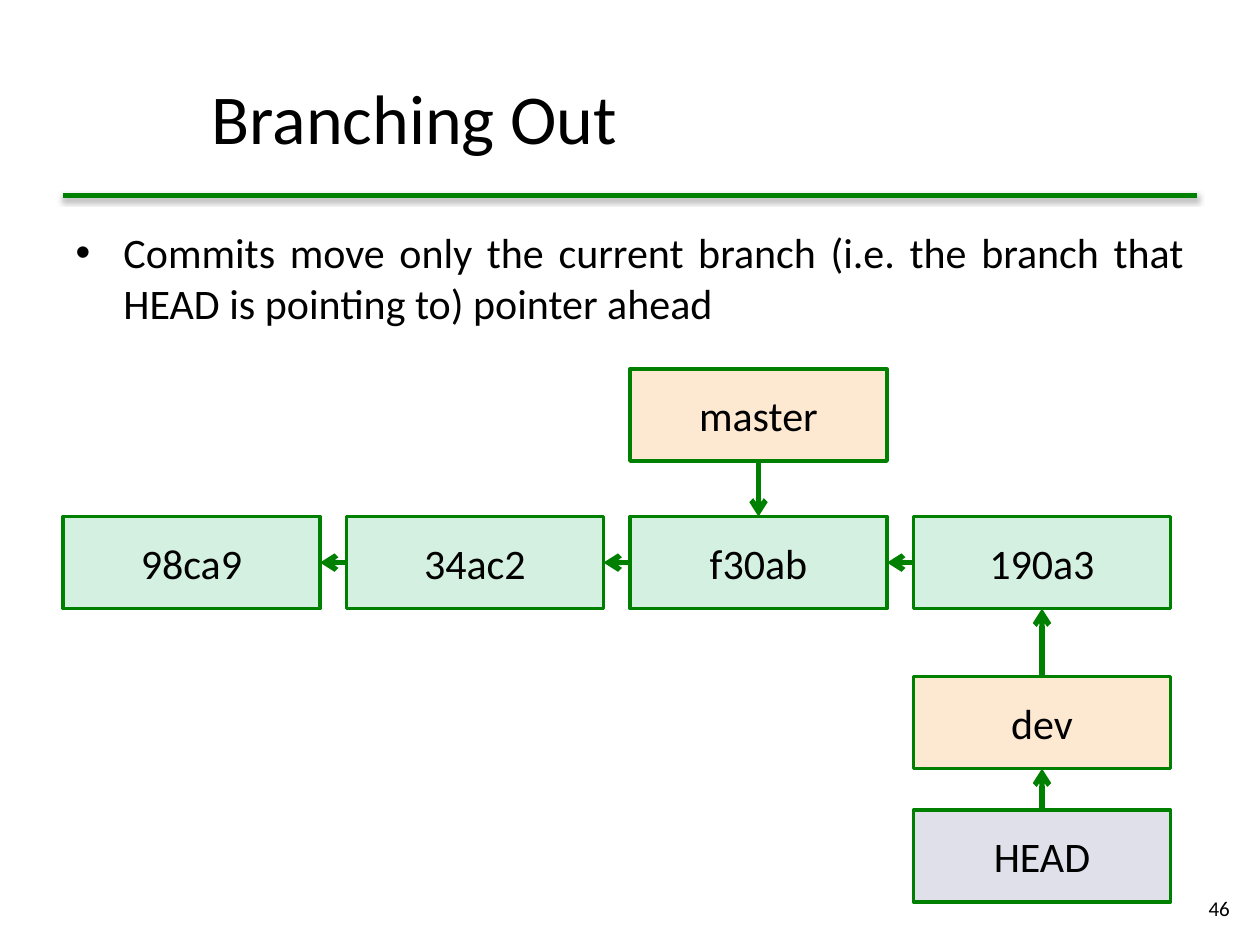
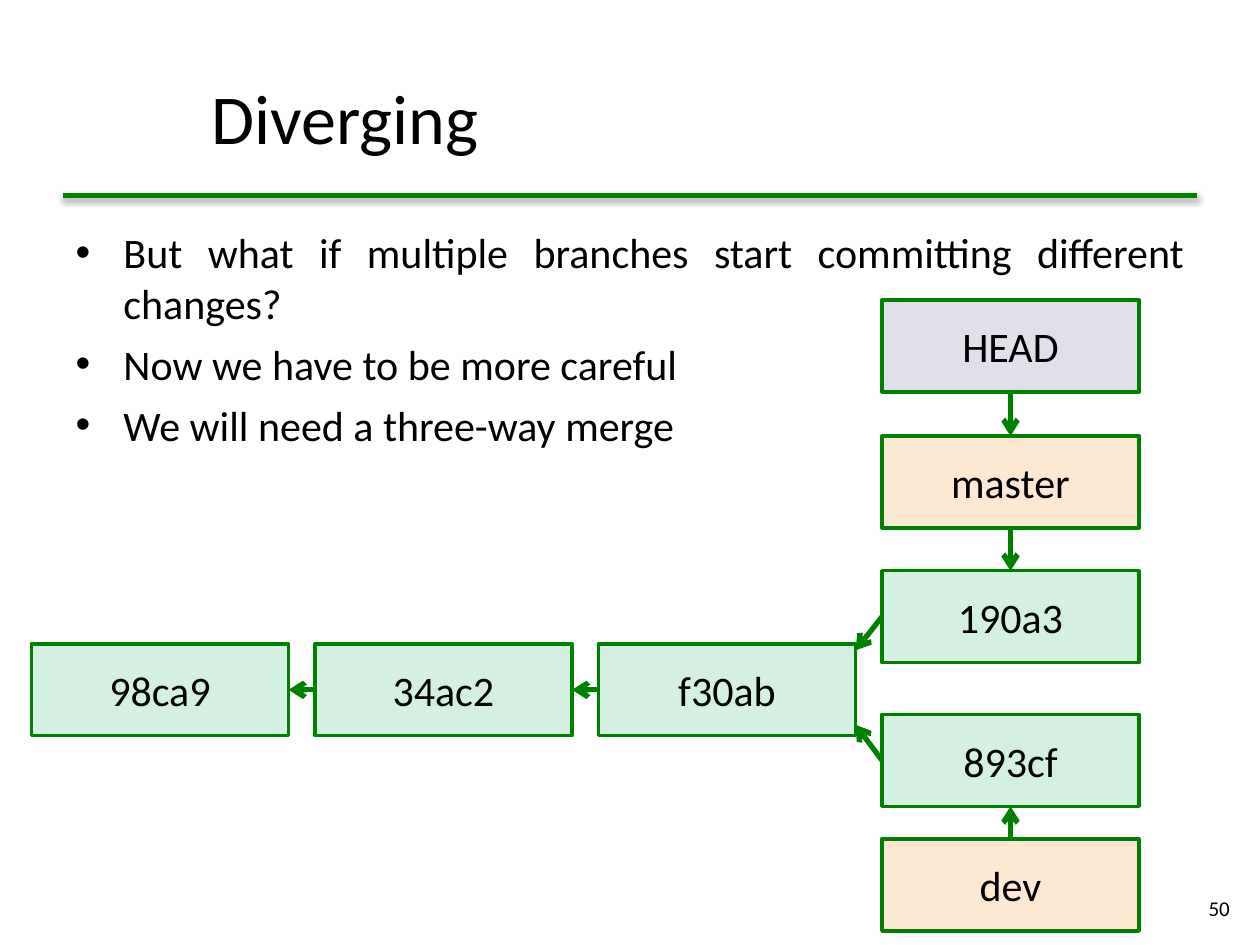
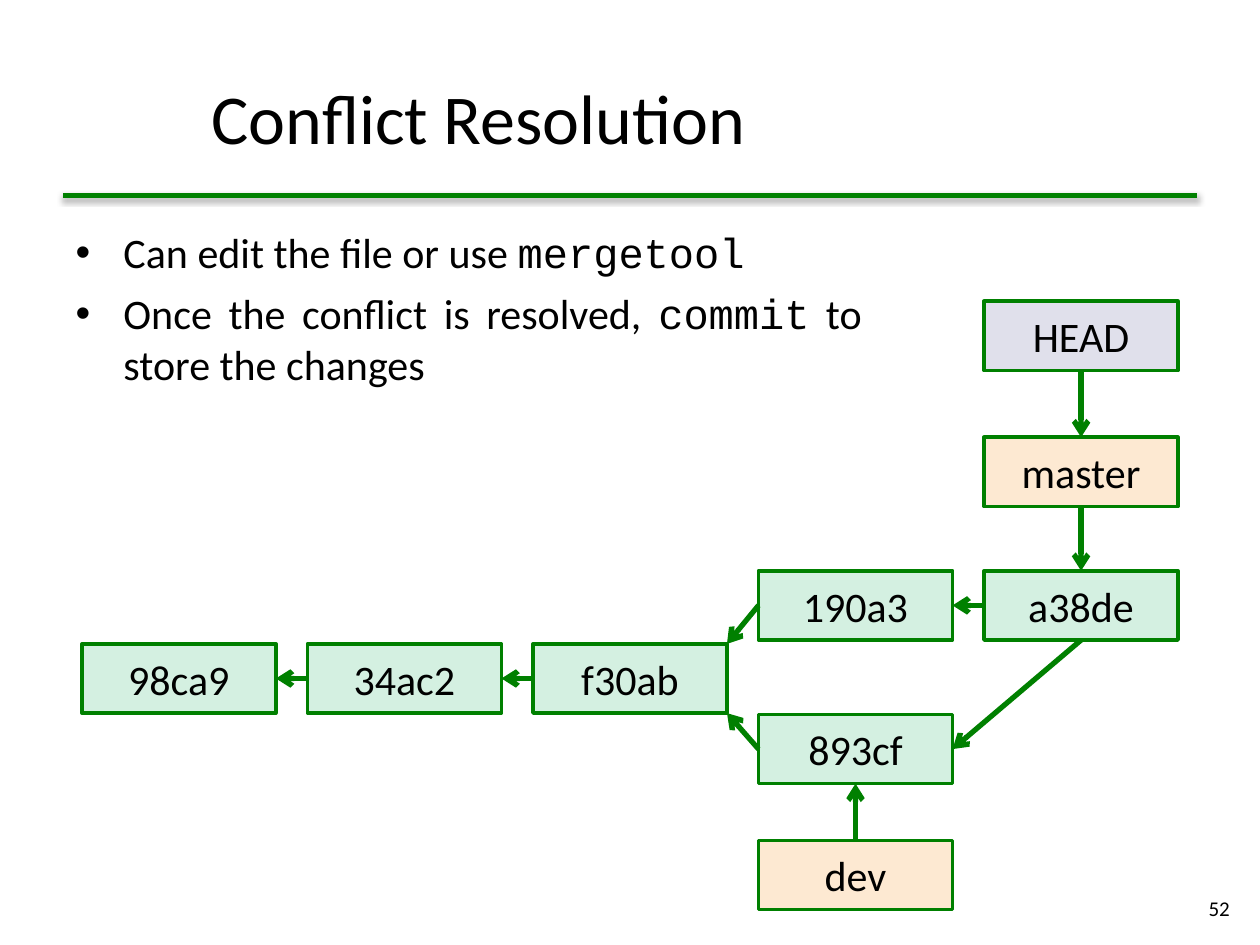
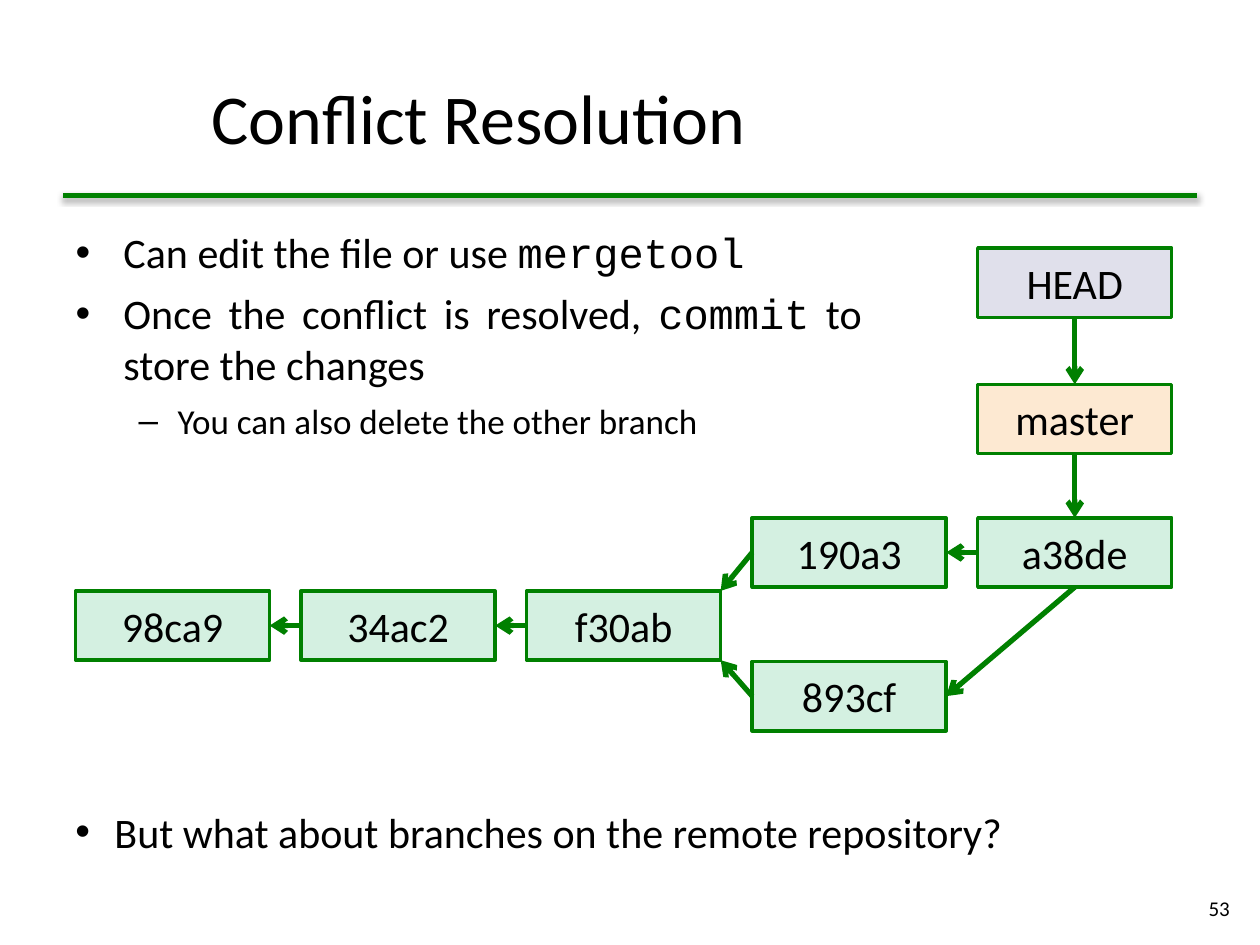
"""Build four slides on branching, diverging and merging in version control."""
from dataclasses import dataclass
from typing import Any, NamedTuple

import lxml.etree
import pptx
import pptx.dml.color
import pptx.enum.shapes
import pptx.enum.text
import pptx.oxml.ns
import pptx.util

Inches = pptx.util.Inches
Pt = pptx.util.Pt
Align = pptx.enum.text.PP_ALIGN
Anchor = pptx.enum.text.MSO_ANCHOR
AutoSize = pptx.enum.text.MSO_AUTO_SIZE

COLORS = {
    "text": "000000",
    "green": "008000",
    "commit": "D4F0E1",
    "branch": "FDE9D2",
    "head": "E0E0EB",
}
KINDS = {"HEAD": "head", "master": "branch", "dev": "branch"}
TEXT_FONT, CODE_FONT = "Calibri", "Courier New"


class Area(NamedTuple):
    left: float
    top: float
    width: float
    height: float


class Side(NamedTuple):
    across: float
    down: float
    site: int | None = None


class BulletStyle(NamedTuple):
    mark: str
    margin: float
    hanging: float
    size: int


class Bullet(NamedTuple):
    text: str
    level: int = 0


class Node(NamedTuple):
    label: str
    column: int
    top: float


class Link(NamedTuple):
    start: str
    start_side: str
    end: str
    end_side: str


@dataclass(frozen=True)
class Graph:
    left: float
    pitch: float
    width: float
    height: float
    nodes: list[Node]
    links: list[Link]
    shift: float = 0


@dataclass(frozen=True)
class Topic:
    number: int
    title: str
    bullets: list[Bullet]
    body_width: float
    graph: Graph
    closing: str = ""


SIDES = {
    "top": Side(0.5, 0, 0),
    "left": Side(0, 0.5, 1),
    "bottom": Side(0.5, 1, 2),
    "right": Side(1, 0.5, 3),
    "top corner": Side(1, 0),
    "bottom corner": Side(1, 1),
    "below top corner": Side(1, 0.07),
    "above bottom corner": Side(1, 0.88),
}
TITLE_AREA = Area(1.58, 0.3, 8.27, 1.25)
NUMBER_AREA = Area(9.46, 7.01, 0.4, 0.4)
CLOSING_AREA = Area(0.5, 6.35, 7.92, 0.5)
LEVELS = [BulletStyle("•", 0.38, 0.38, 24), BulletStyle("–", 0.81, 0.31, 20)]
CLOSING_STYLE = BulletStyle("•", 0.31, 0.31, 24)

TRUNK = ["98ca9", "34ac2", "f30ab"]
TRUNK_LINKS = [Link(new, "left", old, "right") for old, new in zip(TRUNK, TRUNK[1:])]
HEAD_LINK = Link("HEAD", "bottom", "master", "top")
DEV_LINK = Link("dev", "top", "893cf", "bottom")
FORK_NODES = [Node(label, column, 5.11) for column, label in enumerate(TRUNK)] + [
    Node("190a3", 3, 4.53),
    Node("893cf", 3, 5.67),
]
MERGE_NODES = FORK_NODES + [
    Node("HEAD", 4, 2.39),
    Node("master", 4, 3.47),
    Node("a38de", 4, 4.53),
]
MERGE_LINKS = TRUNK_LINKS + [
    HEAD_LINK,
    Link("master", "bottom", "a38de", "top"),
    Link("190a3", "left", "f30ab", "top corner"),
    Link("893cf", "left", "f30ab", "bottom corner"),
    Link("a38de", "left", "190a3", "right"),
    Link("a38de", "bottom", "893cf", "right"),
]
RESOLUTION = [
    Bullet("Can edit the file or use `mergetool`"),
    Bullet("Once the conflict is resolved, `commit` to store the changes"),
]

TOPICS = [
    Topic(
        46,
        "Branching Out",
        [Bullet("Commits move only the current branch (i.e. the branch that HEAD is "
                "pointing to) pointer ahead")],
        9,
        Graph(
            0.5, 2.25, 2.04, 0.73,
            [Node(label, column, 4.1) for column, label in enumerate(TRUNK + ["190a3"])]
            + [Node("master", 2, 2.93), Node("dev", 3, 5.37), Node("HEAD", 3, 6.43)],
            TRUNK_LINKS + [
                Link("190a3", "left", "f30ab", "right"),
                Link("master", "bottom", "f30ab", "top"),
                Link("HEAD", "top", "dev", "bottom"),
                Link("dev", "top", "190a3", "bottom"),
            ],
        ),
    ),
    Topic(
        50,
        "Diverging",
        [
            Bullet("But what if multiple branches start committing different changes?"),
            Bullet("Now we have to be more careful"),
            Bullet("We will need a three-way merge"),
        ],
        9,
        Graph(
            0.25, 2.25, 2.04, 0.73,
            FORK_NODES + [Node("HEAD", 3, 2.38), Node("master", 3, 3.46), Node("dev", 3, 6.66)],
            TRUNK_LINKS + [
                HEAD_LINK,
                DEV_LINK,
                Link("master", "bottom", "190a3", "top"),
                Link("190a3", "left", "f30ab", "below top corner"),
                Link("893cf", "left", "f30ab", "above bottom corner"),
            ],
        ),
    ),
    Topic(
        52,
        "Conflict Resolution",
        RESOLUTION,
        6.44,
        Graph(0.65, 1.79, 1.54, 0.55, MERGE_NODES + [Node("dev", 3, 6.67)],
              MERGE_LINKS + [DEV_LINK]),
    ),
    Topic(
        53,
        "Conflict Resolution",
        RESOLUTION + [Bullet("You can also delete the other branch", 1)],
        6.44,
        Graph(0.6, 1.79, 1.54, 0.55, MERGE_NODES, MERGE_LINKS, shift=-0.42),
        "But what about branches on the remote repository?",
    ),
]


def color(name: str) -> pptx.dml.color.RGBColor:
    return pptx.dml.color.RGBColor.from_string(COLORS[name])


def set_all(target: Any, values: dict[str, Any]) -> None:
    for name, value in values.items():
        setattr(target, name, value)


def inches(area: Area) -> dict[str, int]:
    return {name: Inches(value) for name, value in area._asdict().items()}


def add_child(parent: Any, tag: str, **attributes: Any) -> Any:
    values = {name: str(value) for name, value in attributes.items()}
    return lxml.etree.SubElement(parent, pptx.oxml.ns.qn(tag), values)


def write_spans(paragraph: Any, text: str, size: int) -> None:
    for index, part in enumerate(text.split("`")):
        if part:
            span = paragraph.add_run()
            span.text = part
            font = CODE_FONT if index % 2 else TEXT_FONT
            set_all(span.font, {"name": font, "size": Pt(size)})
            span.font.color.rgb = color("text")


def write_line(box: Any, text: str, size: int, align: Align) -> None:
    frame = box.text_frame
    set_all(frame, {"word_wrap": True, "auto_size": AutoSize.NONE,
                    "vertical_anchor": Anchor.MIDDLE})
    paragraph = frame.paragraphs[0]
    paragraph.alignment = align
    write_spans(paragraph, text, size)


def write_bullet(paragraph: Any, text: str, style: BulletStyle, level: int = 0) -> None:
    set_all(paragraph, {"alignment": Align.JUSTIFY, "level": level,
                        "space_before": Pt(0), "space_after": Pt(6)})
    properties = paragraph._p.get_or_add_pPr()
    properties.set("marL", str(Inches(style.margin)))
    properties.set("indent", str(-Inches(style.hanging)))
    add_child(properties, "a:buFont", typeface="Arial")
    add_child(properties, "a:buChar", char=style.mark)
    write_spans(paragraph, text, style.size)


def write_bullets(box: Any, bullets: list[Bullet]) -> None:
    frame = box.text_frame
    set_all(frame, {"word_wrap": True, "auto_size": AutoSize.NONE,
                    "vertical_anchor": Anchor.TOP})
    for index, bullet in enumerate(bullets):
        paragraph = frame.add_paragraph() if index else frame.paragraphs[0]
        write_bullet(paragraph, bullet.text, LEVELS[bullet.level], bullet.level)


def draw_line(page: Any, start: tuple[int, int], end: tuple[int, int]) -> tuple[Any, Any]:
    line = page.shapes.add_connector(
        pptx.enum.shapes.MSO_CONNECTOR.STRAIGHT, *start, *end)
    line.line.color.rgb = color("green")
    line.line.width = Pt(3)
    return line, add_child(line.element.spPr, "a:effectLst")


def draw_rule(page: Any) -> None:
    height = Inches(1.55)
    _, effects = draw_line(page, (Inches(0.5), height), (Inches(9.5), height))
    shadow = add_child(effects, "a:outerShdw", blurRad=Pt(3.1), dist=Pt(1.6),
                       dir=5400000, rotWithShape=0)
    shade = add_child(shadow, "a:srgbClr", val=COLORS["text"])
    add_child(shade, "a:alpha", val=38000)


def draw_node(page: Any, graph: Graph, node: Node) -> Any:
    area = Area(graph.left + node.column * graph.pitch, node.top + graph.shift,
                graph.width, graph.height)
    box = page.shapes.add_shape(
        pptx.enum.shapes.MSO_SHAPE.RECTANGLE, *inches(area).values())
    box.shadow.inherit = False
    box.fill.solid()
    box.fill.fore_color.rgb = color(KINDS.get(node.label, "commit"))
    box.line.color.rgb = color("green")
    box.line.width = Pt(2)
    write_line(box, node.label, 24, Align.CENTER)
    return box


def side_point(box: Any, side: Side) -> tuple[int, int]:
    return (box.left + round(side.across * box.width),
            box.top + round(side.down * box.height))


def draw_link(page: Any, boxes: dict[str, Any], link: Link) -> None:
    start, end = boxes[link.start], boxes[link.end]
    start_side, end_side = SIDES[link.start_side], SIDES[link.end_side]
    arrow, _ = draw_line(page, side_point(start, start_side), side_point(end, end_side))
    add_child(arrow.element.spPr.find(pptx.oxml.ns.qn("a:ln")), "a:tailEnd", type="arrow")
    arrow.begin_connect(start, start_side.site)
    if end_side.site is not None:
        arrow.end_connect(end, end_side.site)


def draw_graph(page: Any, graph: Graph) -> None:
    boxes = {node.label: draw_node(page, graph, node) for node in graph.nodes}
    for link in graph.links:
        draw_link(page, boxes, link)


def draw_topic(deck: Any, topic: Topic) -> None:
    page = deck.slides.add_slide(deck.slide_layouts[1])
    title, body = page.placeholders
    set_all(title, inches(TITLE_AREA))
    write_line(title, topic.title, 40, Align.LEFT)
    set_all(body, inches(Area(0.5, 1.75, topic.body_width, 5.26)))
    write_bullets(body, topic.bullets)
    draw_rule(page)
    draw_graph(page, topic.graph)
    number = page.shapes.add_textbox(*inches(NUMBER_AREA).values())
    write_line(number, str(topic.number), 12, Align.RIGHT)
    if topic.closing:
        closing = page.shapes.add_textbox(*inches(CLOSING_AREA).values())
        set_all(closing.text_frame, {"word_wrap": True,
                                     "auto_size": AutoSize.SHAPE_TO_FIT_TEXT})
        write_bullet(closing.text_frame.paragraphs[0], topic.closing, CLOSING_STYLE)


def main() -> None:
    deck = pptx.Presentation()
    set_all(deck, {"slide_width": Inches(10), "slide_height": Inches(7.5)})
    for topic in TOPICS:
        draw_topic(deck, topic)
    deck.save("out.pptx")


if __name__ == "__main__":
    main()
